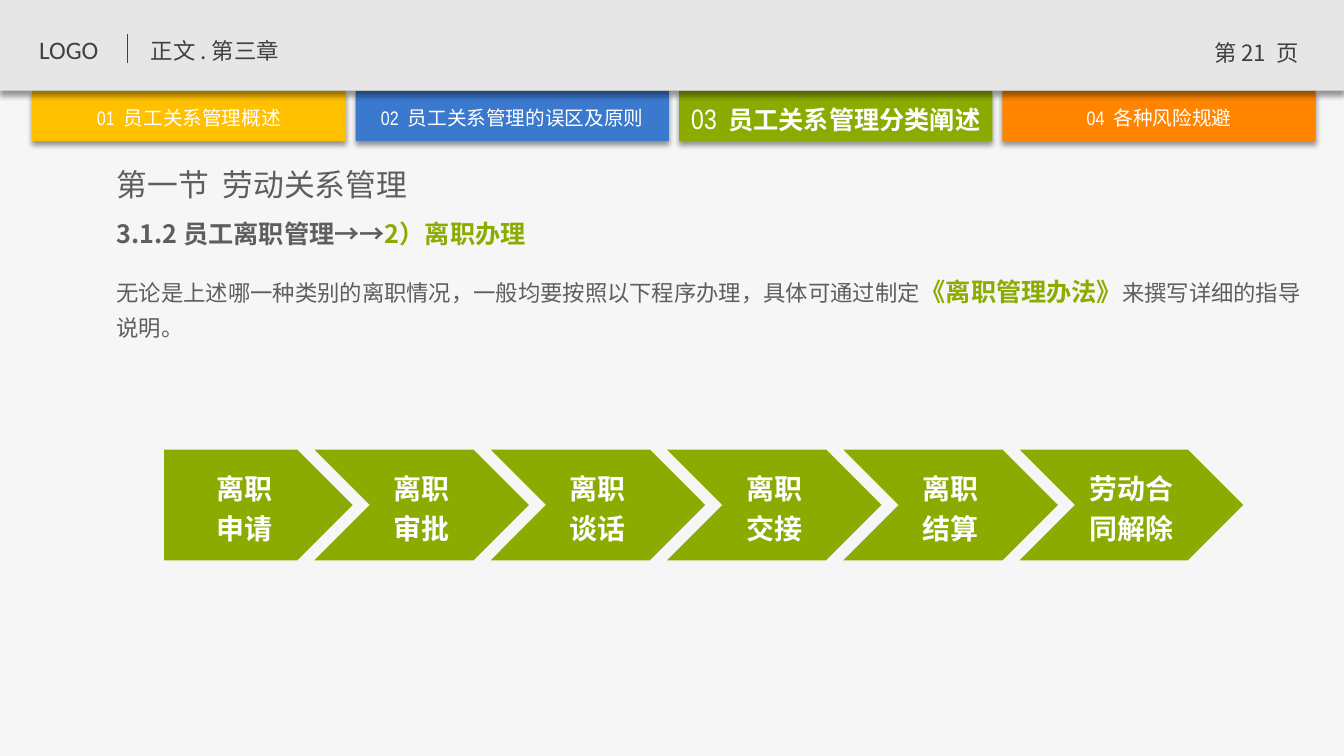
from lxml.etree import SubElement
from pptx import Presentation
from pptx.dml.color import RGBColor
from pptx.enum.shapes import MSO_CONNECTOR as CONNECTOR, MSO_SHAPE as SHAPE
from pptx.enum.text import MSO_ANCHOR as ANCHOR, PP_ALIGN as ALIGN
from pptx.oxml.ns import qn
from pptx.util import Inches, Pt

WHITE = RGBColor(0xFF, 0xFF, 0xFF)
PAPER = RGBColor(0xF6, 0xF6, 0xF6)
HEADER = RGBColor(0xE6, 0xE6, 0xE6)
DARK = RGBColor(0x40, 0x40, 0x40)
GREY = RGBColor(0x5F, 0x5E, 0x5C)
YELLOW = RGBColor(0xFF, 0xC0, 0x00)
BLUE = RGBColor(0x3B, 0x79, 0xCE)
GREEN = RGBColor(0x8B, 0xAB, 0x00)
ORANGE = RGBColor(0xFF, 0x85, 0x00)
CJK = "Noto Sans CJK SC"
NARROW = "Arial Narrow"

SLIDE_WIDTH, SLIDE_HEIGHT = 13.34, 7.5
HEADER_HEIGHT = SLIDE_HEIGHT * 0.12
TAB_LEFT, TAB_WIDTH, TAB_PITCH, TAB_HEIGHT = 0.32, 3.11, 3.21, 0.5
TEXT_LEFT = 1.06
STEP_LEFT, STEP_TOP, STEP_PITCH, STEP_HEIGHT = 1.37, 4.46, 1.75, 1.1


def write(frame, lines, size, color, name=CJK, bold=False, align=ALIGN.LEFT, spacing=1.0):
    frame.word_wrap = True
    for index, runs in enumerate(lines):
        paragraph = frame.add_paragraph() if index else frame.paragraphs[0]
        paragraph.alignment, paragraph.line_spacing = align, spacing
        font = paragraph.font
        font.size, font.bold, font.name = Pt(size), bold, name
        font.color.rgb = color
        SubElement(font._element, qn("a:ea")).set("typeface", name)
        for text, changes in runs:
            run = paragraph.add_run()
            run.text = text
            if "color" in changes:
                run.font.color.rgb = changes["color"]
            if "size" in changes:
                run.font.size = Pt(changes["size"])
            if "bold" in changes:
                run.font.bold = changes["bold"]
            if "name" in changes:
                run.font.name = changes["name"]


def add_block(kind, left, top, width, height, color, shadow=False):
    shape = slide.shapes.add_shape(kind, Inches(left), Inches(top), Inches(width), Inches(height))
    shape.fill.solid()
    shape.fill.fore_color.rgb = color
    shape.line.fill.background()
    shape.shadow.inherit = False
    if shadow:
        effects = shape._element.spPr.find(qn("a:effectLst"))
        outer = SubElement(effects, qn("a:outerShdw"), blurRad=str(Pt(4)), dist=str(Pt(3)),
                           dir="5400000", algn="t", rotWithShape="0")
        black = SubElement(outer, qn("a:srgbClr"), val="000000")
        SubElement(black, qn("a:alpha"), val="40000")
    return shape


presentation = Presentation()
presentation.slide_width = Inches(SLIDE_WIDTH)
presentation.slide_height = Inches(SLIDE_HEIGHT)
slide = presentation.slides.add_slide(presentation.slide_layouts[5])
slide.background.fill.solid()
slide.background.fill.fore_color.rgb = PAPER

tabs = [
    ("01", "员工关系管理概述", YELLOW),
    ("02", "员工关系管理的误区及原则", BLUE),
    ("03", "员工关系管理分类阐述", GREEN),
    ("04", "各种风险规避", ORANGE),
]
for column, (number, label, color) in enumerate(tabs):
    tab = add_block(SHAPE.RECTANGLE, TAB_LEFT + column * TAB_PITCH, HEADER_HEIGHT,
                    TAB_WIDTH, TAB_HEIGHT, color, shadow=True)
    frame = tab.text_frame
    frame.margin_left = frame.margin_right = frame.margin_bottom = 0
    frame.margin_top = Inches(0.04)
    frame.vertical_anchor = ANCHOR.MIDDLE
    current = number == "03"
    runs = [(number, {"name": NARROW, "size": 20 if current else 14}),
            ("  ", {"name": NARROW}), (label, {"bold": current})]
    write(frame, [runs], 18 if current else 14, WHITE, align=ALIGN.CENTER)

add_block(SHAPE.RECTANGLE, 0, 0, SLIDE_WIDTH, HEADER_HEIGHT, HEADER, shadow=True)
divider = slide.shapes.add_connector(CONNECTOR.STRAIGHT, Inches(1.27), Inches(0.34),
                                     Inches(1.27), Inches(0.63))
divider.line.color.rgb = DARK
divider.line.width = Pt(0.75)
SubElement(divider._element.spPr, qn("a:effectLst"))

title = slide.shapes.title
title.left, title.top = Inches(TEXT_LEFT), Inches(1.59)
title.width, title.height = Inches(5.44), Inches(0.47)
title.text_frame.vertical_anchor = ANCHOR.TOP
write(title.text_frame, [[("第一节  劳动关系管理", {})]], 22, GREY)

texts = [
    (0.29, 0.29, 0.98, 0.4, [("LOGO", {})],
     dict(size=18, color=DARK, name="Calibri")),
    (1.4, 0.32, 3.27, 0.37, [("正文 . 第三章", {})],
     dict(size=16, color=DARK)),
    (11.87, 0.34, 1.2, 0.4, [("第 21  页", {})],
     dict(size=16, color=DARK, align=ALIGN.CENTER)),
    (TEXT_LEFT, 2.03, 5.77, 0.49,
     [("3.1.2 员工离职管理→→", {}), ("2）离职办理", {"color": GREEN})],
     dict(size=18, color=GREY, bold=True, spacing=1.3)),
    (TEXT_LEFT, 2.6, 12.01, 0.84,
     [("无论是上述哪一种类别的离职情况，一般均要按照以下程序办理，具体可通过制定", {}),
      ("《离职管理办法》", {"size": 18, "color": GREEN, "bold": True}),
      ("来撰写详细的指导说明。", {})],
     dict(size=16, color=GREY, spacing=1.3)),
]
for left, top, width, height, runs, style in texts:
    box = slide.shapes.add_textbox(Inches(left), Inches(top), Inches(width), Inches(height))
    write(box.text_frame, [runs], **style)

steps = [["离职", "申请"], ["离职", "审批"], ["离职", "谈话"],
         ["离职", "交接"], ["离职", "结算"], ["劳动合同解除"]]
for column, lines in enumerate(steps):
    left, width, kind = STEP_LEFT + column * STEP_PITCH, 2.13, SHAPE.CHEVRON
    if column == 0:
        left, width, kind = 1.63, 1.87, SHAPE.PENTAGON
    elif column == len(steps) - 1:
        width = 2.22
    step = add_block(kind, left, STEP_TOP, width, STEP_HEIGHT, GREEN)
    step.text_frame.vertical_anchor = ANCHOR.MIDDLE
    write(step.text_frame, [[(line, {})] for line in lines], 20, WHITE,
          bold=True, align=ALIGN.CENTER, spacing=1.2)

presentation.save("out.pptx")
